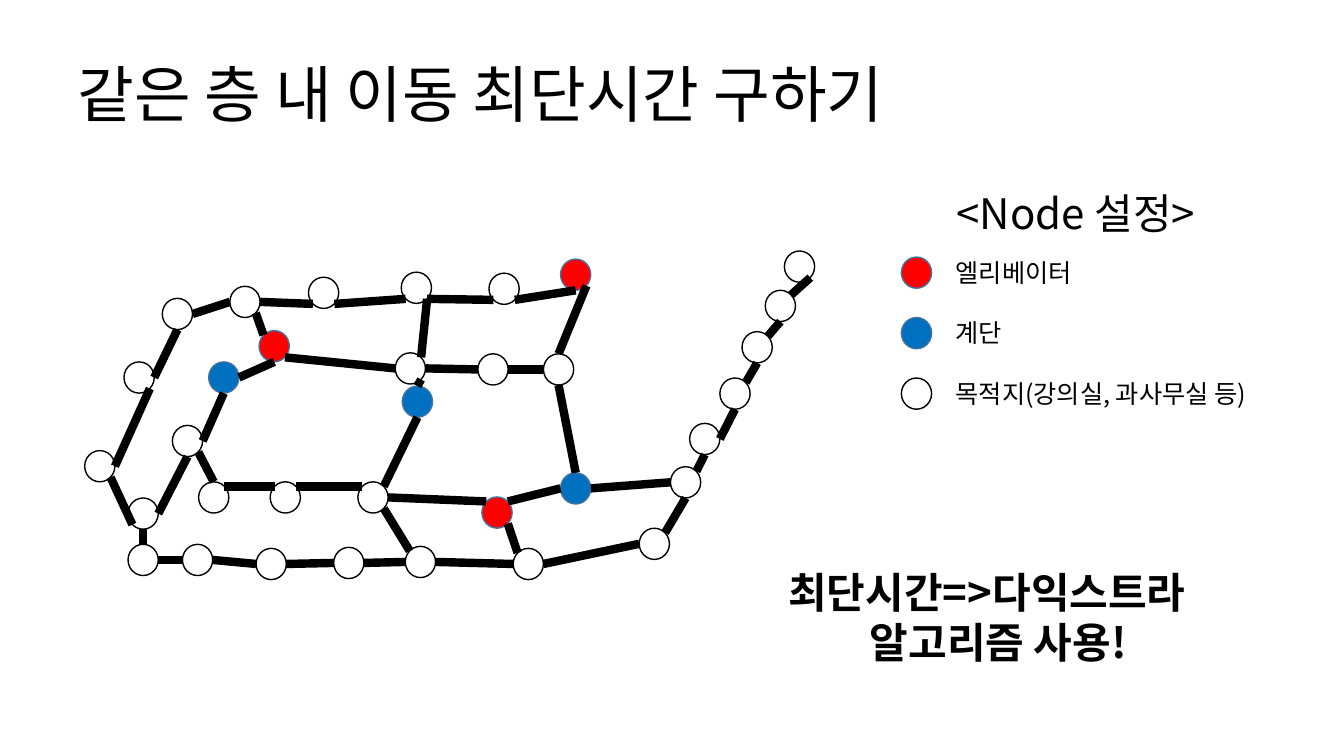
from lxml.etree import SubElement
from pptx import Presentation
from pptx.dml.color import RGBColor
from pptx.enum.shapes import MSO_CONNECTOR, MSO_SHAPE
from pptx.enum.text import MSO_ANCHOR, PP_ALIGN
from pptx.oxml.ns import qn
from pptx.util import Inches, Pt

FONT = "Noto Sans CJK KR"
COLORS = {"ink": "000000", "elevator": "FF0000", "stairs": "0070C0",
          "destination": "FFFFFF", "rim": "43739E"}
NODE_W, NODE_H = 0.3, 0.31
SITES = {"N": (0, -1), "NE": (0.71, -0.71), "E": (1, 0), "SE": (0.71, 0.71),
         "S": (0, 1), "SW": (-0.71, 0.71), "W": (-1, 0), "NW": (-0.71, -0.71)}
NODES = {
    "top1": (0.77, 0.47), "top2": (1.44, 0.35), "top3": (2.22, 0.26),
    "top4": (3.14, 0.21), "top5": (4.01, 0.22), "top6": (4.72, 0.08),
    "west1": (0.39, 1.1), "west2": (0, 1.98), "west3": (0.43, 2.45),
    "mid1": (1.73, 0.79), "mid2": (1.23, 1.1), "mid3": (3.08, 1.01),
    "mid4": (3.9, 1.02), "mid5": (4.55, 1.02), "mid6": (3.15, 1.34),
    "low1": (0.87, 1.73), "low2": (1.13, 2.29), "low3": (1.84, 2.29),
    "low4": (2.71, 2.29), "low5": (3.94, 2.44), "low6": (4.72, 2.2),
    "low7": (5.81, 2.14),
    "south1": (0.43, 2.91), "south2": (0.97, 2.91), "south3": (1.7, 2.95),
    "south4": (2.47, 2.94), "south5": (3.18, 2.93), "south6": (4.25, 2.95),
    "south7": (5.5, 2.75),
    "east1": (6, 1.71), "east2": (6.3, 1.26), "east3": (6.52, 0.8),
    "east4": (6.75, 0.39), "east5": (6.94, 0),
}
KINDS = {"top6": "elevator", "mid1": "elevator", "low5": "elevator",
         "mid2": "stairs", "mid6": "stairs", "low6": "stairs"}
PASSAGES = [
    "top1.E top2.W", "top2.E top3.SW", "top3.SE top4.SW", "top4.SE top5.SW",
    "top5.SE top6.S", "top2.SE mid1.NW", "top4.SE mid3.NE", "top6.SE mid5.N",
    "top1.S west1.E", "west1.SE west2.E", "west2.SE west3.SW", "west3.S south1.N",
    "mid1.S mid2.E", "mid1.SE mid3.W", "mid3.E mid4.W", "mid4.E mid5.W",
    "mid3.SE mid6.N", "mid2.S low1.E", "mid6.S low4.NE", "mid5.S low6.N",
    "low1.S west3.E", "low1.SE low2.N", "low2.NE low3.NW", "low3.NE low4.NW",
    "low4.E low5.NW", "low5.NE low6.W", "low6.E low7.W",
    "low4.SE south5.NW", "low5.SE south6.NW", "low7.S south7.NE",
    "south1.E south2.W", "south2.E south3.W", "south3.E south4.W",
    "south4.E south5.W", "south5.E south6.W", "south6.E south7.W",
    "low7.NE east1.S", "east1.E east2.S", "east2.NE east3.S",
    "east3.NE east4.S", "east4.NE east5.SE",
]


def color(name):
    """Return the named colour."""
    return RGBColor.from_string(COLORS[name])


def write(paragraph, text, size=18, bold=False, indent=0):
    """Write one formatted, left-aligned run in a paragraph."""
    run = paragraph.add_run()
    run.text = text
    run.font.size, run.font.bold, run.font.name = Pt(size), bold, FONT
    run.font.color.rgb = color("ink")
    SubElement(run.font._element, qn("a:ea")).set("typeface", FONT)
    paragraph.alignment = PP_ALIGN.LEFT
    if indent:
        paragraph._p.get_or_add_pPr().set("marL", str(Inches(indent)))


def add_text(slide, box, text, **style):
    """Add a wrapping text box and return its frame."""
    frame = slide.shapes.add_textbox(*map(Inches, box)).text_frame
    frame.word_wrap = True
    write(frame.paragraphs[0], text, **style)
    return frame


def add_node(slide, x, y, kind):
    """Draw one map node of the given kind."""
    node = slide.shapes.add_shape(MSO_SHAPE.OVAL, Inches(x), Inches(y),
                                  Inches(NODE_W), Inches(NODE_H))
    node.shadow.inherit = False
    node.fill.solid()
    node.fill.fore_color.rgb = color(kind)
    node.line.color.rgb = color("ink" if kind == "destination" else "rim")
    node.line.width = Pt(1)


def add_title(slide, box, text):
    """Place and fill the slide title."""
    title = slide.shapes.title
    title.left, title.top, title.width, title.height = map(Inches, box)
    title.text_frame.vertical_anchor = MSO_ANCHOR.MIDDLE
    write(title.text_frame.paragraphs[0], text, size=44)


def add_floor_map(slide, left, top):
    """Draw the floor's nodes and the passages joining them."""
    def site(end):
        """Locate a node's compass point on the slide."""
        name, compass = end.split(".")
        x, y = NODES[name]
        dx, dy = SITES[compass]
        return (Inches(left + x + NODE_W / 2 * (1 + dx)),
                Inches(top + y + NODE_H / 2 * (1 + dy)))

    for name, (x, y) in NODES.items():
        add_node(slide, left + x, top + y, KINDS.get(name, "destination"))
    for passage in PASSAGES:
        start, finish = passage.split()
        line = slide.shapes.add_connector(MSO_CONNECTOR.STRAIGHT, *site(start), *site(finish))
        line.line.color.rgb = color("ink")
        line.line.width = Pt(6)
        SubElement(line._element.spPr, qn("a:effectLst"))


def add_legend(slide, left, top):
    """Draw the heading and the key to node kinds."""
    add_text(slide, (left + 0.45, top, 3, 0.61), "<Node 설정>", size=30)
    entries = [("elevator", "엘리베이터"), ("stairs", "계단"),
               ("destination", "목적지(강의실, 과사무실 등)")]
    for row, (kind, label) in enumerate(entries):
        y = top + 0.74 + row * 0.6
        add_node(slide, left, y, kind)
        add_text(slide, (left + 0.44, y - 0.05, 3.2, 0.4), label)


def add_conclusion(slide, box):
    """Write the two-line conclusion."""
    frame = add_text(slide, box, "최단시간=>다익스트라", size=30, bold=True)
    write(frame.add_paragraph(), "알고리즘 사용!", size=30, bold=True, indent=0.81)


def main():
    """Build and save the slide."""
    deck = Presentation()
    deck.slide_width, deck.slide_height = Inches(13.33), Inches(7.5)
    slide = deck.slides.add_slide(deck.slide_layouts[5])
    add_title(slide, (0.67, 0.3, 12, 1.25), "같은 층 내 이동 최단시간 구하기")
    add_floor_map(slide, 0.84, 2.49)
    add_legend(slide, 8.94, 1.81)
    add_conclusion(slide, (7.72, 5.57, 5.5, 1.11))
    deck.save("out.pptx")


if __name__ == "__main__":
    main()
